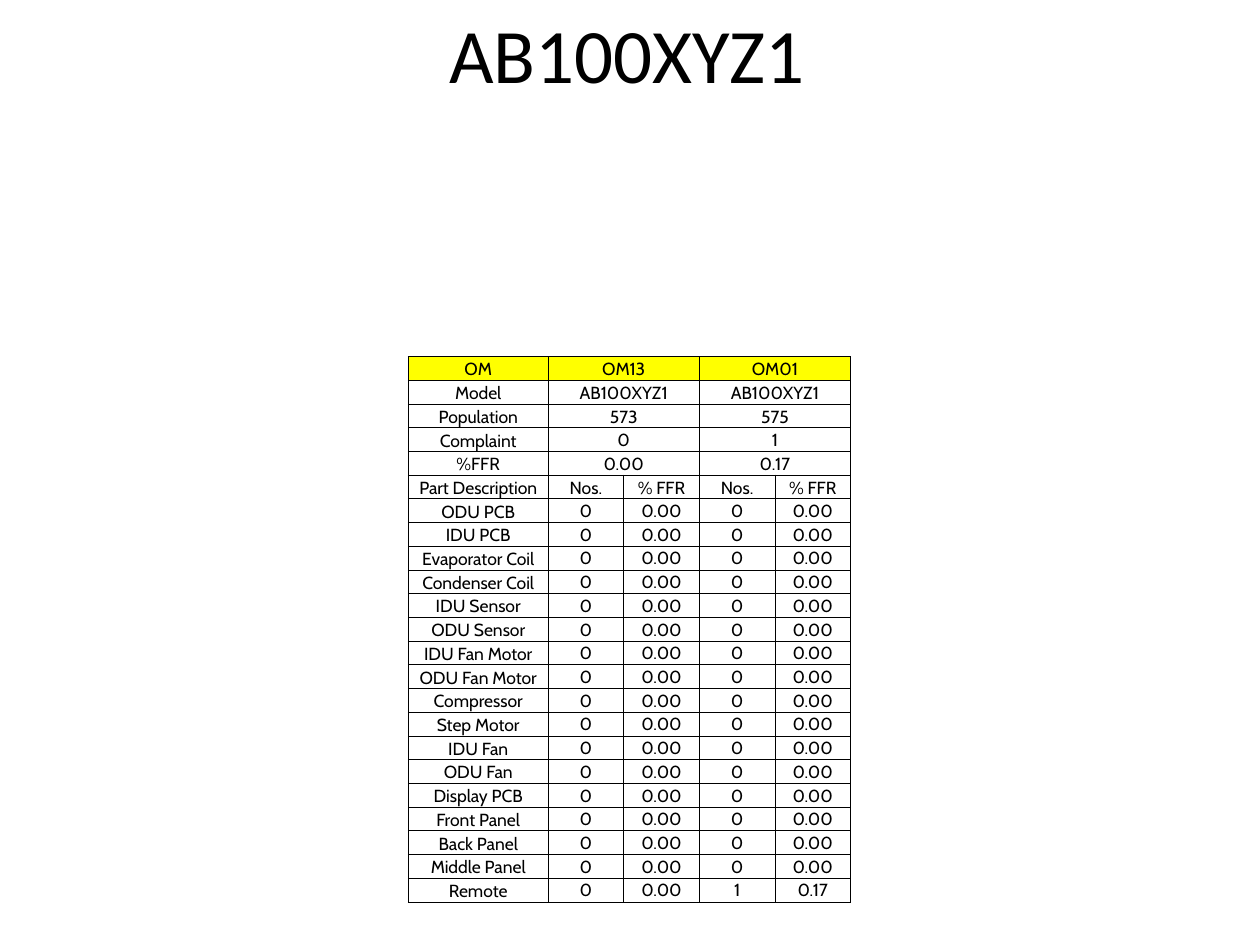
from dataclasses import dataclass

from lxml import etree
from pptx import Presentation
from pptx.dml.color import RGBColor
from pptx.enum import text
from pptx.oxml import ns
from pptx.util import Inches, Pt

COLORS = {"ink": "000000", "head": "FFFF00"}
MODEL = "AB100XYZ1"
PARTS = [
    "ODU PCB", "IDU PCB", "Evaporator Coil", "Condenser Coil", "IDU Sensor",
    "ODU Sensor", "IDU Fan Motor", "ODU Fan Motor", "Compressor", "Step Motor",
    "IDU Fan", "ODU Fan", "Display PCB", "Front Panel", "Back Panel",
    "Middle Panel", "Remote",
]
WIDTHS = [1.11, 0.6, 0.6, 0.6, 0.6]
BOTTOM, MIDDLE = text.MSO_ANCHOR.BOTTOM, text.MSO_ANCHOR.MIDDLE


@dataclass
class Row:
    label: str
    values: list[str]
    anchor: text.MSO_ANCHOR = BOTTOM
    fill: str = ""


# Summary rows have one value per batch, the others have two
ROWS = [
    Row("OM", ["OM13", "OM01"], fill="head"),
    Row("Model", [MODEL, MODEL]),
    Row("Population", ["573", "575"]),
    Row("Complaint", ["0", "1"], MIDDLE),
    Row("%FFR", ["0.00", "0.17"]),
    Row("Part Description", ["Nos.", "% FFR"] * 2),
    *(Row(part, ["0", "0.00"] * 2, MIDDLE) for part in PARTS[:-1]),
    Row(PARTS[-1], ["0", "0.00", "1", "0.17"], MIDDLE),
]


def style(frame, words: str, face: str, size: int) -> None:
    frame.text = words
    para = frame.paragraphs[0]
    para.alignment = text.PP_ALIGN.CENTER
    font = para.runs[0].font
    for name, value in {"name": face, "size": Pt(size), "bold": False}.items():
        setattr(font, name, value)
    font.color.rgb = RGBColor.from_string(COLORS["ink"])


def border(cell) -> None:
    props = cell._tc.get_or_add_tcPr()
    for side in ("L", "R", "T", "B"):
        line = etree.SubElement(props, ns.qn(f"a:ln{side}"), w=str(Pt(0.5)))
        solid = etree.SubElement(line, ns.qn("a:solidFill"))
        etree.SubElement(solid, ns.qn("a:srgbClr"), val=COLORS["ink"])


def frame_cell(cell, fill: str) -> None:
    margins = {"margin_left": 0.01, "margin_right": 0.01,
               "margin_top": 0.01, "margin_bottom": 0}
    for name, value in margins.items():
        setattr(cell, name, Inches(value))
    border(cell)
    if fill:
        cell.fill.solid()
        cell.fill.fore_color.rgb = RGBColor.from_string(COLORS[fill])
    else:
        cell.fill.background()


def fill_row(table, index: int, row: Row) -> None:
    for col in range(len(WIDTHS)):
        frame_cell(table.cell(index, col), row.fill)
    label = table.cell(index, 0)
    label.vertical_anchor = BOTTOM
    style(label.text_frame, row.label, "Cabin", 10)
    span = (len(WIDTHS) - 1) // len(row.values)
    for pos, value in enumerate(row.values):
        col = 1 + pos * span
        cell = table.cell(index, col)
        if span > 1:
            cell.merge(table.cell(index, col + span - 1))
        cell.vertical_anchor = row.anchor
        style(cell.text_frame, value, "Cabin", 10)


def add_title(slide) -> None:
    title = slide.shapes.title
    box = {"left": 0.48, "top": 0.17, "width": 9, "height": 0.5}
    for name, value in box.items():
        setattr(title, name, Inches(value))
    frame = title.text_frame
    frame.auto_size = text.MSO_AUTO_SIZE.NONE
    frame.vertical_anchor = MIDDLE
    style(frame, MODEL, "Calibri", 44)


def add_grid(slide) -> None:
    high = Inches(4.33)
    table = slide.shapes.add_table(
        len(ROWS), len(WIDTHS), Inches(3.24), Inches(2.83), Inches(3.52), high
    ).table
    table.first_row = table.horz_banding = False
    for col, width in zip(table.columns, WIDTHS):
        col.width = Inches(width)
    for index, row in enumerate(ROWS):
        table.rows[index].height = high // len(ROWS)
        fill_row(table, index, row)


def main() -> None:
    deck = Presentation()
    deck.slide_width, deck.slide_height = Inches(10), Inches(7.5)
    # Title-only layout
    slide = deck.slides.add_slide(deck.slide_layouts[5])
    add_title(slide)
    add_grid(slide)
    deck.save("out.pptx")


if __name__ == "__main__":
    main()
